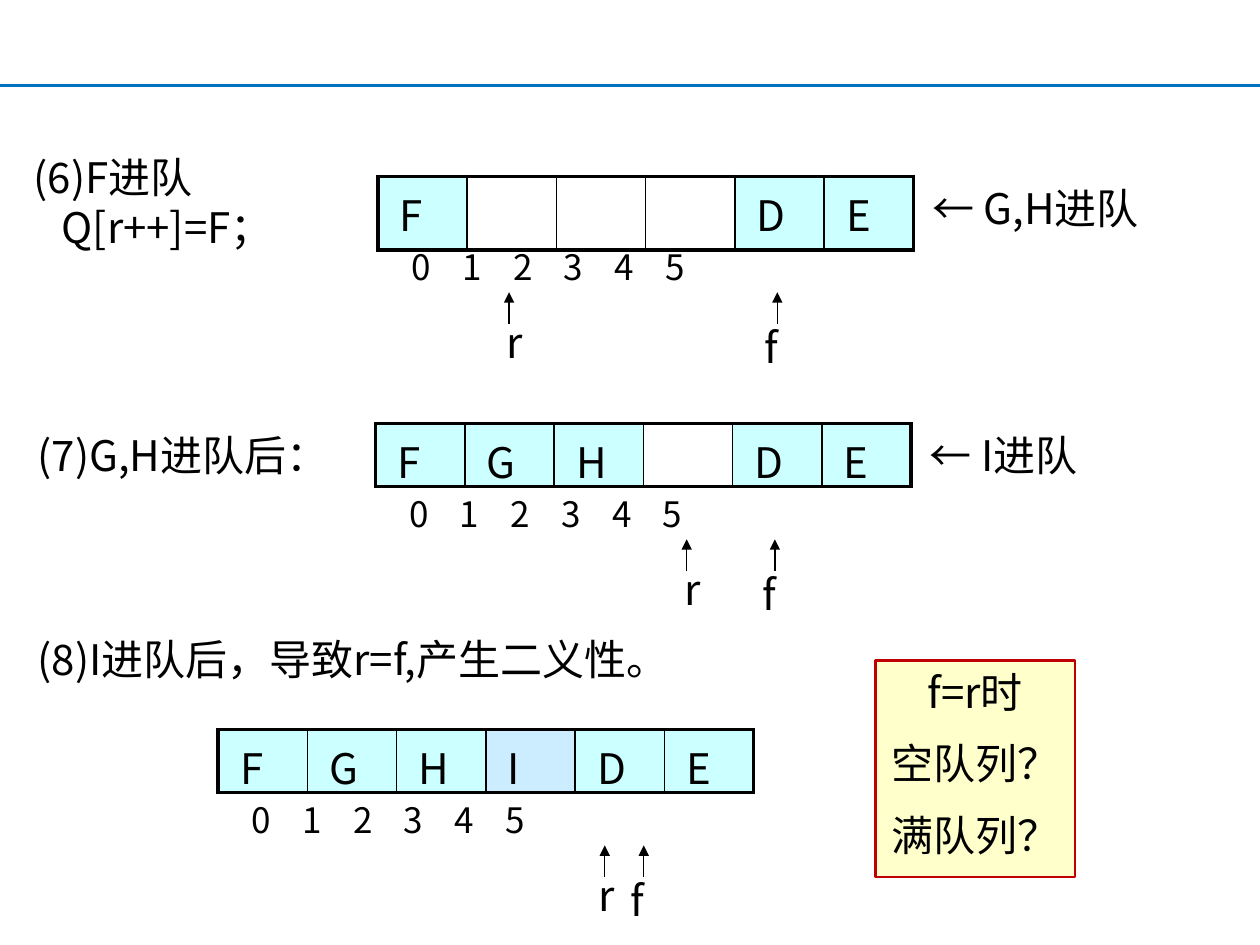
import pptx
import pptx.dml.color
import pptx.enum.shapes
import pptx.enum.text
import pptx.oxml.ns
import pptx.util
from lxml import etree
from pptx.util import Pt

FONT = "Noto Sans CJK SC"
COLORS = {"black": "000000", "rule": "0070C0", "filled": "CCFFFF", "newest": "CCECFF",
          "question": "FFFFCC", "question_line": "C00000"}
COLORS = {name: pptx.dml.color.RGBColor.from_string(value) for name, value in COLORS.items()}
qn = pptx.oxml.ns.qn

presentation = pptx.Presentation()
presentation.slide_width, presentation.slide_height = Pt(720), Pt(540)
slide = presentation.slides.add_slide(presentation.slide_layouts[6])


def add_text(left, top, width, height, lines, size=24, line_spacing=None):
    shape = slide.shapes.add_textbox(Pt(left), Pt(top), Pt(width), Pt(height))
    shape.text_frame.word_wrap = True
    shape.text_frame.text = lines
    for paragraph in shape.text_frame.paragraphs:
        paragraph.font.name, paragraph.font.size = FONT, Pt(size)
        paragraph.font.color.rgb = COLORS["black"]
        paragraph.line_spacing = line_spacing
    return shape.text_frame.paragraphs


def add_line(x1, y1, x2, y2, color, width):
    line = slide.shapes.add_connector(
        pptx.enum.shapes.MSO_CONNECTOR.STRAIGHT, Pt(x1), Pt(y1), Pt(x2), Pt(y2))
    line.line.color.rgb, line.line.width = COLORS[color], Pt(width)
    etree.SubElement(line._element.spPr, qn("a:effectLst"))
    return line


add_line(0, 49, 720, 49, "rule", 1.5)

# Captions on the left and the next operation on the right
step_lines = add_text(12.2, 82.8, 171, 65, "(6)F进队\nQ[r++]=F；")
step_lines[1]._p.get_or_add_pPr().set("marL", str(Pt(16)))
add_text(14.4, 242, 200, 36, "(7)G,H进队后：")
add_text(14.4, 358.6, 576, 36, "(8)I进队后，导致r=f,产生二义性。")
add_text(525.6, 100.8, 134.6, 36, "← G,H进队")
add_text(524.2, 242, 115, 36, "← I进队")

# Queue states: left, top, row height, cell contents, x of r arrow and label, x of f arrow
CELL_WIDTH = 51
DIGIT_PITCH = 29
queues = [
    (216, 100.8, 42, "F   DE", 290.9, 282.2, 444.2),
    (214.6, 242, 36, "FGH DE", 392.4, 383.8, 442.8),
    (124.6, 416.9, 36, "FGHIDE", 345.6, 334.8, 367.9),
]
for left, top, row_height, letters, r_x, r_label, f_x in queues:
    count = len(letters)
    frame = slide.shapes.add_table(1, count, Pt(left), Pt(top), Pt(CELL_WIDTH * count), Pt(row_height))
    table = frame.table
    table.first_row = table.horz_banding = False
    for index, letter in enumerate(letters):
        table.columns[index].width = Pt(CELL_WIDTH)
        cell = table.cell(0, index)
        paragraph = cell.text_frame.paragraphs[0]
        paragraph.font.name, paragraph.font.size = FONT, Pt(24)
        paragraph.font.color.rgb = COLORS["black"]
        borders = {"lnL": 2.25 if index == 0 else 1,
                   "lnR": 2.25 if index == count - 1 else 1,
                   "lnT": 2.25, "lnB": 2.25}
        for tag, width in borders.items():
            border = etree.SubElement(cell._tc.get_or_add_tcPr(), qn("a:" + tag), w=str(Pt(width)))
            fill = etree.SubElement(border, qn("a:solidFill"))
            etree.SubElement(fill, qn("a:srgbClr"), val=str(COLORS["black"]))
        if letter == " ":
            cell.fill.background()
        else:
            paragraph.text = " " + letter
            cell.fill.solid()
            cell.fill.fore_color.rgb = COLORS["newest" if letter == "I" else "filled"]

    digits = add_text(left + 12.2, top + 36, 274, 31, "\t".join(map(str, range(count))), size=20)
    tabs = etree.SubElement(digits[0]._p.get_or_add_pPr(), qn("a:tabLst"))
    for index in range(1, count):
        etree.SubElement(tabs, qn("a:tab"), pos=str(Pt(DIGIT_PITCH * index)), algn="l")

    for name, arrow_x, label_x, label_y in (("f", f_x, f_x - 14.4, top + 87),
                                            ("r", r_x, r_label, top + 84.2)):
        arrow = add_line(arrow_x, top + 84.2, arrow_x, top + 66.2, "black", 0.75)
        etree.SubElement(arrow.line._get_or_add_ln(), qn("a:tailEnd"), type="triangle")
        add_text(label_x, label_y, 26.6, 27.4, name, line_spacing=0.7)

# Ambiguity question
question = slide.shapes.add_shape(
    pptx.enum.shapes.MSO_SHAPE.RECTANGLE, Pt(500.4), Pt(377.3), Pt(113.8), Pt(123.8))
question.shadow.inherit = False
question.fill.solid()
question.fill.fore_color.rgb = COLORS["question"]
question.line.color.rgb, question.line.width = COLORS["question_line"], Pt(1.5)
question.text_frame.word_wrap = True
question.text_frame.vertical_anchor = pptx.enum.text.MSO_ANCHOR.TOP
question.text_frame.text = "f=r时\n空队列？\n满队列？"
for paragraph in question.text_frame.paragraphs:
    paragraph.alignment = pptx.enum.text.PP_ALIGN.CENTER
    paragraph.space_before = Pt(12)
    paragraph.font.name, paragraph.font.size = FONT, Pt(24)
    paragraph.font.color.rgb = COLORS["black"]

presentation.save("out.pptx")
